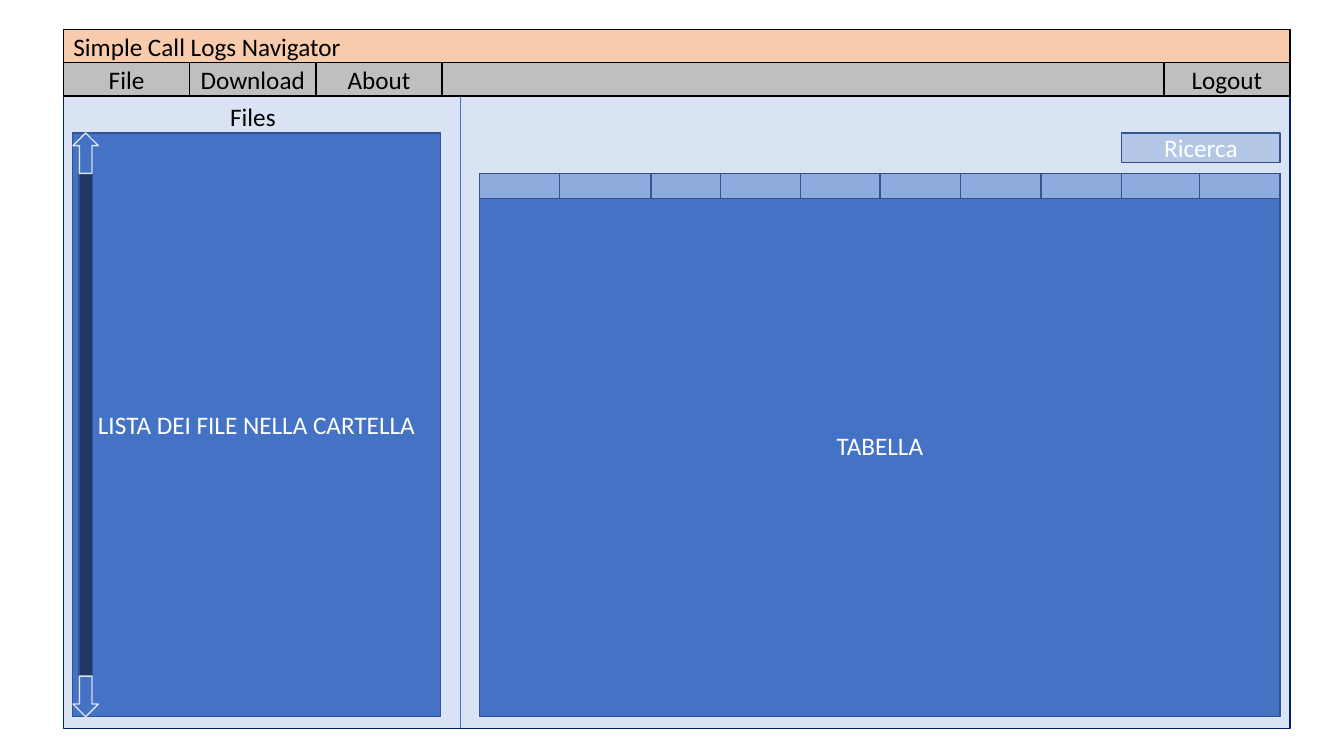
from itertools import accumulate

from lxml.etree import SubElement
from pptx import Presentation
from pptx.dml.color import RGBColor
from pptx.enum.shapes import MSO_CONNECTOR, MSO_SHAPE
from pptx.enum.text import MSO_ANCHOR, MSO_AUTO_SIZE, PP_ALIGN
from pptx.oxml.ns import qn
from pptx.util import Cm, Pt

COLORS = {
    "black": "000000",
    "white": "FFFFFF",
    "window": "DAE3F3",
    "window_edge": "002060",
    "title": "F8CBAD",
    "menu": "BFBFBF",
    "panel": "4472C4",
    "panel_edge": "325491",
    "search": "B4C7E7",
    "header": "8FAADC",
    "scroll": "203864",
}
WINDOW_LEFT, WINDOW_WIDTH = 1.6, 30.91
TITLE_TOP, BAR_HEIGHT = 0.74, 0.84
MENU_TOP = TITLE_TOP + BAR_HEIGHT
MENU_ITEM_WIDTH = 3.18
PANEL_TOP, PANEL_BOTTOM = 3.35, 18.06
TABLE_LEFT, TABLE_TOP = 12.09, 4.37
COLUMN_WIDTHS = [2.01, 2.31, 1.75, 2.01, 2.01, 2.03, 2.03, 2.03, 1.96, 2.03]
SCROLL_CENTER = 2.16
ARROW_WIDTH, ARROW_HEIGHT = 0.64, 1.02


def color(name):
    return RGBColor.from_string(COLORS[name])


def write(shape, text, text_color, align):
    shape.text_frame.word_wrap = True
    para = shape.text_frame.paragraphs[0]
    para.text = text
    para.alignment = align
    para.font.name = "Calibri"
    para.font.size = Pt(18)
    para.font.color.rgb = color(text_color)


def add_block(page, left, top, width, height, fill, edge, text="",
              text_color="white", align=PP_ALIGN.CENTER, kind=MSO_SHAPE.RECTANGLE):
    block = page.shapes.add_shape(kind, Cm(left), Cm(top), Cm(width), Cm(height))
    block.shadow.inherit = False
    block.fill.solid()
    block.fill.fore_color.rgb = color(fill)
    block.line.color.rgb = color(edge)
    block.line.width = Pt(1)
    if text:
        block.text_frame.vertical_anchor = MSO_ANCHOR.MIDDLE
        write(block, text, text_color, align)


def add_label(page, left, top, width, height, text):
    box = page.shapes.add_textbox(Cm(left), Cm(top), Cm(width), Cm(height))
    write(box, text, "black", PP_ALIGN.CENTER)
    box.text_frame.auto_size = MSO_AUTO_SIZE.SHAPE_TO_FIT_TEXT


def add_divider(page, x, top, bottom):
    divider = page.shapes.add_connector(
        MSO_CONNECTOR.STRAIGHT, Cm(x), Cm(top), Cm(x), Cm(bottom))
    divider.line.color.rgb = color("panel")
    divider.line.width = Pt(0.5)
    SubElement(divider._element.spPr, qn("a:effectLst"))


def add_menu(page):
    add_block(page, WINDOW_LEFT, MENU_TOP, WINDOW_WIDTH, BAR_HEIGHT, "menu", "black")
    logout_left = WINDOW_LEFT + WINDOW_WIDTH - MENU_ITEM_WIDTH
    items = [(name, WINDOW_LEFT + index * MENU_ITEM_WIDTH)
             for index, name in enumerate(["File", "Download", "About"])]
    for name, left in items + [("Logout", logout_left)]:
        add_block(page, left, MENU_TOP, MENU_ITEM_WIDTH, BAR_HEIGHT,
                  "menu", "black", name, "black")


def add_scrollbar(page):
    add_block(page, SCROLL_CENTER - 0.17, PANEL_TOP + 0.12, 0.34, 14.38,
              "scroll", "panel_edge")
    for kind, top in [(MSO_SHAPE.UP_ARROW, PANEL_TOP),
                      (MSO_SHAPE.DOWN_ARROW, PANEL_BOTTOM - ARROW_HEIGHT)]:
        add_block(page, SCROLL_CENTER - ARROW_WIDTH / 2, top, ARROW_WIDTH,
                  ARROW_HEIGHT, "panel", "window", kind=kind)


def add_data_table(page):
    add_block(page, TABLE_LEFT, TABLE_TOP, sum(COLUMN_WIDTHS),
              PANEL_BOTTOM - TABLE_TOP, "panel", "panel_edge", "TABELLA")
    for left, width in zip(accumulate(COLUMN_WIDTHS, initial=TABLE_LEFT), COLUMN_WIDTHS):
        add_block(page, left, TABLE_TOP, width, 0.64, "header", "panel_edge")


def main():
    deck = Presentation()
    deck.slide_width, deck.slide_height = Cm(33.87), Cm(19.05)
    page = deck.slides.add_slide(deck.slide_layouts[6])
    add_block(page, WINDOW_LEFT, 0.76, WINDOW_WIDTH, 17.6, "window", "window_edge")
    add_block(page, WINDOW_LEFT, TITLE_TOP, WINDOW_WIDTH, BAR_HEIGHT, "title", "black",
              "Simple Call Logs Navigator", "black", PP_ALIGN.LEFT)
    add_menu(page)
    add_block(page, 1.83, PANEL_TOP, 9.27, PANEL_BOTTOM - PANEL_TOP,
              "panel", "panel_edge", "LISTA DEI FILE NELLA CARTELLA")
    add_label(page, 5.08, 2.44, 2.59, 1.02, "Files")
    add_divider(page, 11.61, 2.44, 18.34)
    add_block(page, 28.27, PANEL_TOP, 3.99, 0.74, "search", "panel_edge", "Ricerca")
    add_scrollbar(page)
    add_data_table(page)
    deck.save("out.pptx")


if __name__ == "__main__":
    main()
